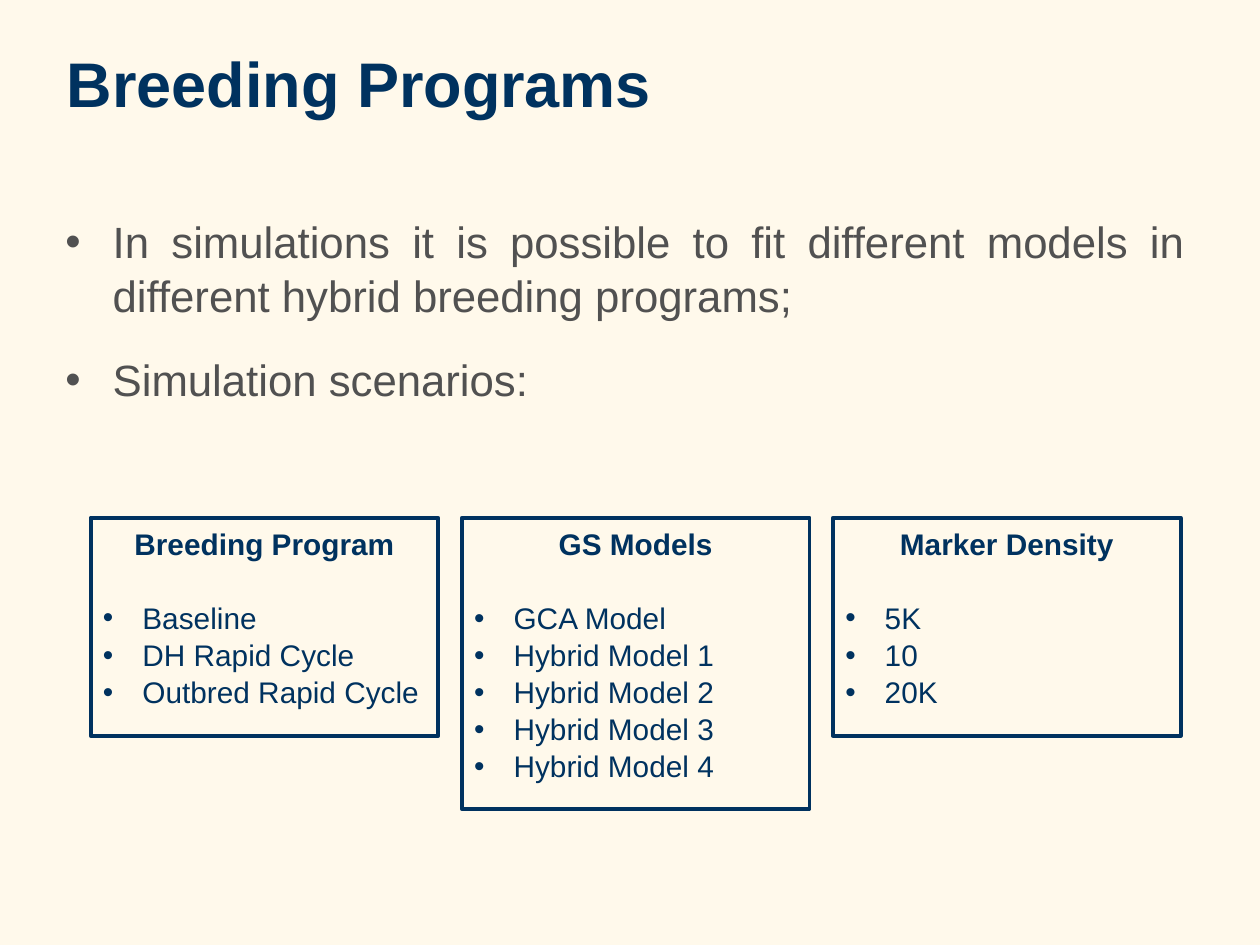
"""Build the slide on breeding programs and simulation scenarios."""
from lxml import etree
from pptx import Presentation
from pptx.dml.color import RGBColor
from pptx.enum.shapes import MSO_SHAPE
from pptx.enum.text import MSO_ANCHOR, MSO_AUTO_SIZE, PP_ALIGN
from pptx.oxml.ns import qn
from pptx.util import Pt

CREAM = RGBColor(0xFF, 0xF9, 0xEB)
NAVY = RGBColor(0x00, 0x32, 0x5F)
GRAY = RGBColor(0x51, 0x51, 0x51)
RECTANGLE = MSO_SHAPE.RECTANGLE
TOP, BOTTOM = MSO_ANCHOR.TOP, MSO_ANCHOR.BOTTOM
LEFT, CENTER, JUSTIFY = PP_ALIGN.LEFT, PP_ALIGN.CENTER, PP_ALIGN.JUSTIFY
NO_FIT = MSO_AUTO_SIZE.NONE

POINTS = [
    "In simulations it is possible to fit different models in different hybrid breeding programs;",
    "Simulation scenarios:",
]
SCENARIOS = [
    ("Breeding Program", ["Baseline", "DH Rapid Cycle", "Outbred Rapid Cycle"]),
    ("GS Models", ["GCA Model"] + [f"Hybrid Model {number}" for number in range(1, 5)]),
    ("Marker Density", ["5K", "10", "20K"]),
]
BOX_LEFT, BOX_TOP, BOX_WIDTH, BOX_STEP = 51.8, 295.9, 198.7, 212.1
BOX_BASE, ROW_HEIGHT = 62, 20.85


class SlideBuilder:
    """Hold the style and the current page."""

    font_name = "Arial"

    def __init__(self, page):
        self.page = page
        page.background.fill.solid()
        page.background.fill.fore_color.rgb = CREAM

    def place(self, shape, left, top, width, height):
        """Move and size a shape, with lengths in points."""
        frame = {"left": left, "top": top, "width": width, "height": height}
        for name, value in frame.items():
            setattr(shape, name, Pt(value))

    def prepare(self, shape, anchor=TOP, margin_top=3.6):
        """Set the text frame of a shape and return it."""
        box = shape.text_frame
        settings = {
            "word_wrap": True, "auto_size": NO_FIT, "vertical_anchor": anchor,
            "margin_left": Pt(7.2), "margin_right": Pt(7.2),
            "margin_top": Pt(margin_top), "margin_bottom": Pt(3.6),
        }
        for name, value in settings.items():
            setattr(box, name, value)
        return box

    def paragraph(self, para, text, size, color, bold=False, align=LEFT,
                  before=0, spacing=1.0, indent=None):
        """Fill one paragraph, with a bullet when an indent is given."""
        layout = {"alignment": align, "space_before": Pt(before),
                  "space_after": Pt(0), "line_spacing": spacing}
        for name, value in layout.items():
            setattr(para, name, value)
        if indent:
            self.bullet(para, indent, color)
        span = para.add_run()
        span.text = text
        style = {"name": self.font_name, "size": Pt(size), "bold": bold}
        for name, value in style.items():
            setattr(span.font, name, value)
        span.font.color.rgb = color

    def bullet(self, para, indent, color):
        """Give a paragraph a hanging round bullet."""
        properties = para._p.get_or_add_pPr()
        properties.set("marL", str(Pt(indent)))
        properties.set("indent", str(-Pt(indent)))
        tint = etree.SubElement(properties, qn("a:buClr"))
        etree.SubElement(tint, qn("a:srgbClr"), val=str(color))
        etree.SubElement(properties, qn("a:buFont"), typeface=self.font_name)
        etree.SubElement(properties, qn("a:buChar"), char="•")

    def title(self, text):
        """Fill the title placeholder."""
        shape = self.page.shapes.title
        self.place(shape, 31, 20.9, 653, 51.1)
        box = self.prepare(shape, BOTTOM)
        self.paragraph(box.paragraphs[0], text, 36, NAVY, bold=True)

    def body(self, points):
        """Fill the body placeholder with the main list."""
        shape = self.page.placeholders[1]
        self.place(shape, 30.2, 116.6, 653.8, 144.7)
        box = self.prepare(shape, margin_top=5.4)
        for index, text in enumerate(points):
            para = box.add_paragraph() if index else box.paragraphs[0]
            self.paragraph(para, text, 25, GRAY, align=JUSTIFY,
                           before=17 if index else 0, spacing=1.03, indent=27)

    def scenario(self, column, heading, items):
        """Draw one outlined box with a heading and a list."""
        height = BOX_BASE + ROW_HEIGHT * len(items)
        shape = self.page.shapes.add_shape(
            RECTANGLE, Pt(BOX_LEFT + column * BOX_STEP), Pt(BOX_TOP),
            Pt(BOX_WIDTH), Pt(height))
        shape.shadow.inherit = False
        shape.fill.background()
        shape.line.color.rgb = NAVY
        shape.line.width = Pt(2.25)
        box = self.prepare(shape)
        self.paragraph(box.paragraphs[0], heading, 17, NAVY, bold=True,
                       align=CENTER, spacing=1.04)
        for index, text in enumerate(items):
            self.paragraph(box.add_paragraph(), text, 17, NAVY,
                           before=0 if index else 21.3, spacing=1.04, indent=22.5)


def main():
    """Build and save the deck."""
    deck = Presentation()
    deck.slide_width, deck.slide_height = Pt(720), Pt(540)
    builder = SlideBuilder(deck.slides.add_slide(deck.slide_layouts[1]))
    builder.title("Breeding Programs")
    builder.body(POINTS)
    for column, (heading, items) in enumerate(SCENARIOS):
        builder.scenario(column, heading, items)
    deck.save("out.pptx")


if __name__ == "__main__":
    main()
